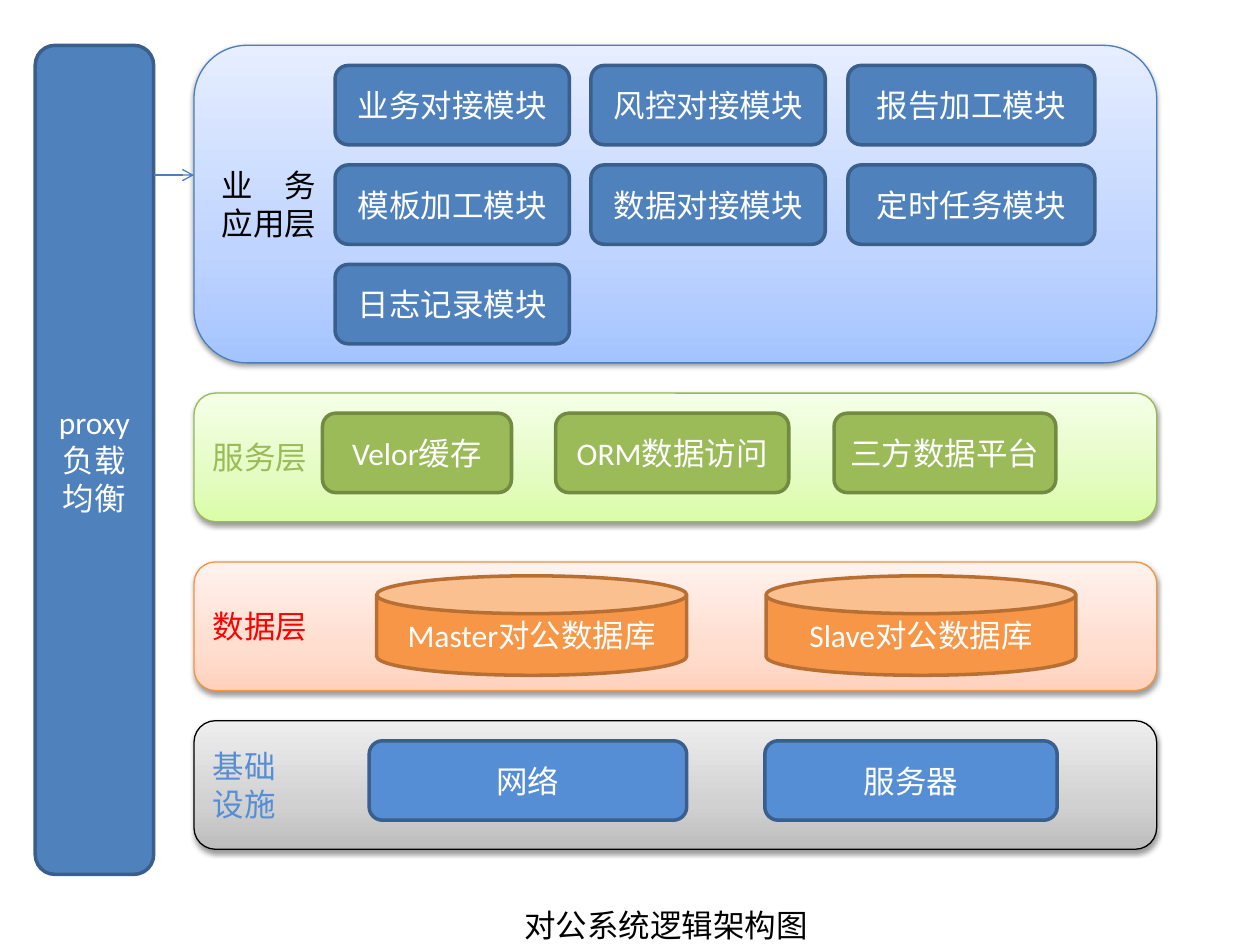
from copy import deepcopy
from dataclasses import dataclass

from lxml.etree import SubElement
from pptx import Presentation
from pptx.dml.color import RGBColor
from pptx.enum.shapes import MSO_CONNECTOR, MSO_SHAPE
from pptx.enum.text import MSO_ANCHOR, MSO_AUTO_SIZE, PP_ALIGN
from pptx.oxml.ns import qn
from pptx.util import Inches, Pt

SLIDE_WIDTH, SLIDE_HEIGHT = Inches(10), Inches(7.5)
FONT = "Calibri"

WHITE = RGBColor(0xFF, 0xFF, 0xFF)
BLACK = RGBColor(0x00, 0x00, 0x00)
RED = RGBColor(0xFF, 0x00, 0x00)
BLUE = RGBColor(0x4F, 0x81, 0xBD)
BLUE_EDGE = RGBColor(0x3A, 0x5F, 0x8C)
BLUE_LINE = RGBColor(0x4B, 0x7E, 0xBC)
SKY = RGBColor(0x55, 0x8E, 0xD5)
GREEN = RGBColor(0x9B, 0xBB, 0x59)
GREEN_EDGE = RGBColor(0x73, 0x8A, 0x42)
GREEN_LINE = RGBColor(0x98, 0xB9, 0x55)
ORANGE = RGBColor(0xF7, 0x96, 0x46)
ORANGE_EDGE = RGBColor(0xB7, 0x6F, 0x34)
ORANGE_LINE = RGBColor(0xF6, 0x92, 0x40)

# Layer gradients, from bottom to top
STOP_POSITIONS = (0, 0.35, 1)
BLUE_SHADES = (RGBColor(0xA4, 0xC4, 0xFF), RGBColor(0xBF, 0xD4, 0xFF), RGBColor(0xE6, 0xEE, 0xFF))
GREEN_SHADES = (RGBColor(0xDA, 0xFD, 0xA7), RGBColor(0xE4, 0xFC, 0xC2), RGBColor(0xF5, 0xFF, 0xE7))
ORANGE_SHADES = (RGBColor(0xFF, 0xD2, 0xBD), RGBColor(0xFF, 0xDE, 0xD0), RGBColor(0xFF, 0xF2, 0xED))
GREY_SHADES = (RGBColor(0xBD, 0xBD, 0xBD), RGBColor(0xD1, 0xD1, 0xD1), RGBColor(0xEE, 0xEE, 0xEE))


@dataclass
class Box:
    """A region in percent of the slide's width and height."""
    left: float
    top: float
    width: float
    height: float

    def inner(self, left, top, width, height):
        """Return a box offset from this one's top left corner."""
        return Box(self.left + left, self.top + top, width, height)

    def emu(self):
        return (across(self.left), down(self.top), across(self.width), down(self.height))


def across(percent):
    return int(SLIDE_WIDTH * percent / 100)


def down(percent):
    return int(SLIDE_HEIGHT * percent / 100)


LAYER_LEFT, LAYER_WIDTH, LAYER_HEIGHT = 15.4, 76.4, 13.6
TOP = 4.8
BALANCER = Box(2.8, TOP, 9.4, 87.73)
BUSINESS = Box(LAYER_LEFT, TOP, LAYER_WIDTH, 33.6)
SERVICE = Box(LAYER_LEFT, 41.6, LAYER_WIDTH, LAYER_HEIGHT)
DATA = Box(LAYER_LEFT, 59.47, LAYER_WIDTH, LAYER_HEIGHT)
INFRASTRUCTURE = Box(LAYER_LEFT, 76.27, LAYER_WIDTH, LAYER_HEIGHT)
CAPTION = Box(40.6, 95.2, 24.7, 5.33)

MODULE_TOP, MODULE_HEIGHT, ROW_PITCH = 2.13, 8.4, 10.53
DATABASE_TOP, DATABASE_HEIGHT = 1.47, 10.53


def write(text_frame, text, color, alignment):
    text_frame.text = text
    for paragraph in text_frame.paragraphs:
        paragraph.alignment = alignment
        for run in paragraph.runs:
            run.font.name = FONT
            run.font.size = Pt(18)
            run.font.color.rgb = color


def add_block(slide, box, text, fill, edge, preset=MSO_SHAPE.ROUNDED_RECTANGLE):
    block = slide.shapes.add_shape(preset, *box.emu())
    block.shadow.inherit = False
    block.fill.solid()
    block.fill.fore_color.rgb = fill
    block.line.color.rgb = edge
    block.line.width = Pt(2)
    block.text_frame.vertical_anchor = MSO_ANCHOR.MIDDLE
    write(block.text_frame, text, WHITE, PP_ALIGN.CENTER)
    return block


def shade(shape, shades):
    """Fill a shape with a three-stop gradient running upwards."""
    shape.fill.gradient()
    shape.fill.gradient_angle = 90
    first_stop = shape.element.spPr.find(".//" + qn("a:gs"))
    first_stop.addnext(deepcopy(first_stop))
    for stop, position, color in zip(shape.fill.gradient_stops, STOP_POSITIONS, shades):
        stop.position = position
        stop.color.rgb = color


def drop_shadow(shape):
    shape.shadow.inherit = False
    effects = shape.element.spPr.find(qn("a:effectLst"))
    shadow = SubElement(effects, qn("a:outerShdw"), blurRad="40000", dist="20000",
                        dir="5400000", rotWithShape="0")
    color = SubElement(shadow, qn("a:srgbClr"), val="000000")
    SubElement(color, qn("a:alpha"), val="38000")


def add_layer(slide, box, label, label_color, shades, edge):
    layer = slide.shapes.add_shape(MSO_SHAPE.ROUNDED_RECTANGLE, *box.emu())
    shade(layer, shades)
    drop_shadow(layer)
    layer.line.color.rgb = edge
    layer.line.width = Pt(0.75)
    layer.text_frame.vertical_anchor = MSO_ANCHOR.MIDDLE
    write(layer.text_frame, label, label_color, PP_ALIGN.LEFT)


def add_modules(slide, box, columns, rows, fill, edge):
    """Place rows of modules; each column is a (left, width) pair."""
    for row, names in enumerate(rows):
        for (left, width), name in zip(columns, names):
            place = box.inner(left, MODULE_TOP + row * ROW_PITCH, width, MODULE_HEIGHT)
            add_block(slide, place, name, fill, edge)


def add_business_layer(slide, box):
    add_layer(slide, box, "业　务\n应用层", BLACK, BLUE_SHADES, BLUE_LINE)
    columns = ((11.2, 18.6), (31.5, 18.6), (51.9, 19.6))
    rows = (("业务对接模块", "风控对接模块", "报告加工模块"),
            ("模板加工模块", "数据对接模块", "定时任务模块"),
            ("日志记录模块",))
    add_modules(slide, box, columns, rows, BLUE, BLUE_EDGE)


def add_service_layer(slide, box):
    add_layer(slide, box, "服务层", GREEN, GREEN_SHADES, GREEN_LINE)
    columns = ((10.2, 15), (28.7, 18.5), (50.8, 17.6))
    rows = (("Velor缓存", "ORM数据访问", "三方数据平台"),)
    add_modules(slide, box, columns, rows, GREEN, GREEN_EDGE)


def add_data_layer(slide, box):
    add_layer(slide, box, "数据层", RED, ORANGE_SHADES, ORANGE_LINE)
    for left, name in ((14.5, "Master对公数据库"), (45.4, "Slave对公数据库")):
        place = box.inner(left, DATABASE_TOP, 24.6, DATABASE_HEIGHT)
        database = add_block(slide, place, name, ORANGE, ORANGE_EDGE, MSO_SHAPE.CAN)
        database.adjustments[0] = 0.38


def add_infrastructure_layer(slide, box):
    add_layer(slide, box, "基础\n设施", SKY, GREY_SHADES, BLACK)
    columns = ((13.9, 25.2), (45.3, 23.2))
    add_modules(slide, box, columns, (("网络", "服务器"),), SKY, BLUE_EDGE)


def add_balancer(slide, box, target):
    """Place the load balancer and its arrow to the target layer."""
    add_block(slide, box, "proxy负载均衡", BLUE, BLUE_EDGE)
    arrow_y = down(target.top + 13.73)
    arrow = slide.shapes.add_connector(MSO_CONNECTOR.STRAIGHT, across(box.left + box.width),
                                       arrow_y, across(target.left), arrow_y)
    arrow.line.color.rgb = BLUE_LINE
    arrow.line.width = Pt(0.75)
    outline = arrow.element.spPr.find(qn("a:ln"))
    SubElement(outline, qn("a:tailEnd"), type="arrow")
    SubElement(arrow.element.spPr, qn("a:effectLst"))


def set_caption(slide, box):
    caption = slide.shapes.title
    caption.left, caption.top, caption.width, caption.height = box.emu()
    frame = caption.text_frame
    frame.word_wrap = False
    frame.auto_size = MSO_AUTO_SIZE.SHAPE_TO_FIT_TEXT
    frame.vertical_anchor = MSO_ANCHOR.TOP
    write(frame, "对公系统逻辑架构图", BLACK, PP_ALIGN.LEFT)


def main():
    deck = Presentation()
    deck.slide_width, deck.slide_height = SLIDE_WIDTH, SLIDE_HEIGHT
    slide = deck.slides.add_slide(deck.slide_layouts.get_by_name("Title Only"))
    add_business_layer(slide, BUSINESS)
    add_service_layer(slide, SERVICE)
    add_data_layer(slide, DATA)
    add_infrastructure_layer(slide, INFRASTRUCTURE)
    add_balancer(slide, BALANCER, BUSINESS)
    set_caption(slide, CAPTION)
    deck.save("out.pptx")


if __name__ == "__main__":
    main()
